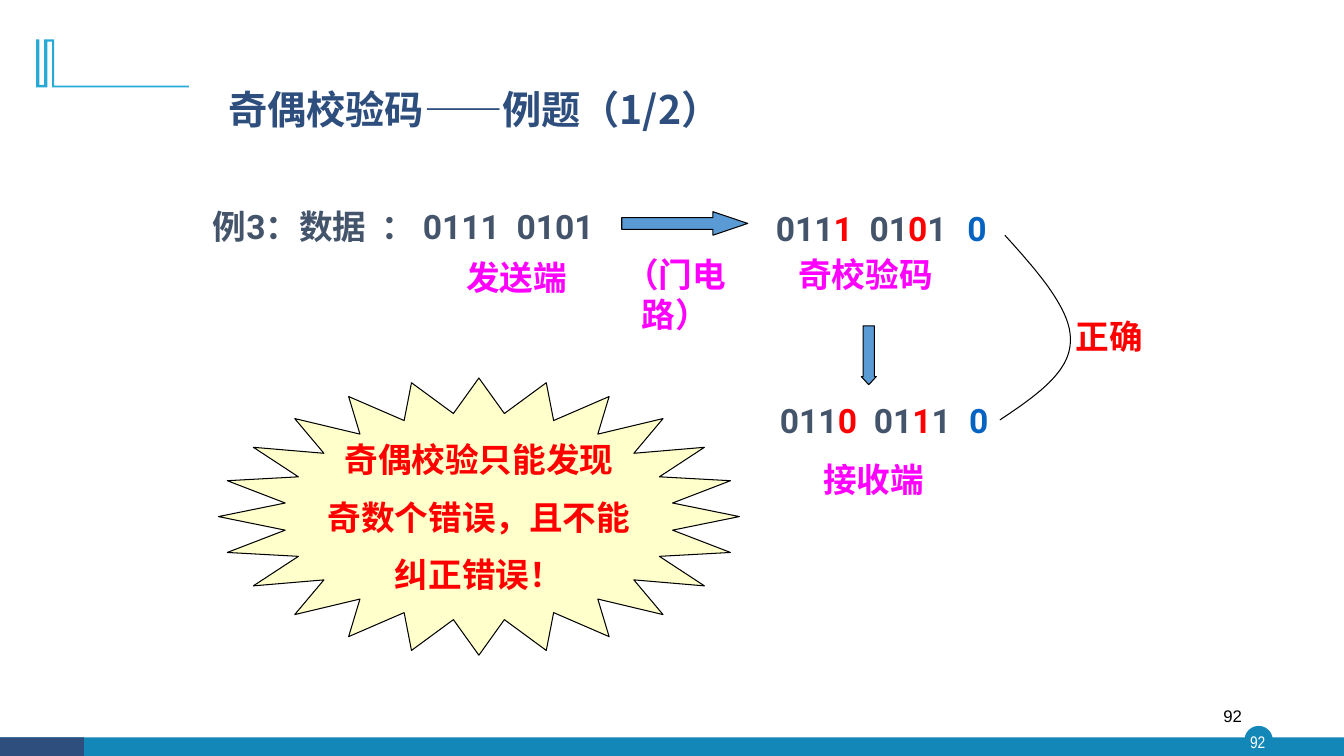
from lxml import etree
from pptx import Presentation
from pptx.dml.color import RGBColor
from pptx.enum.shapes import MSO_SHAPE
from pptx.enum.text import MSO_ANCHOR, PP_ALIGN
from pptx.oxml.ns import qn
from pptx.util import Inches, Pt

OVAL, RECT, STAR = MSO_SHAPE.OVAL, MSO_SHAPE.RECTANGLE, MSO_SHAPE.STAR_24_POINT
RIGHT, DOWN = MSO_SHAPE.RIGHT_ARROW, MSO_SHAPE.DOWN_ARROW
MID, TOP = MSO_ANCHOR.MIDDLE, MSO_ANCHOR.TOP
CENTER, LEFT, END = PP_ALIGN.CENTER, PP_ALIGN.LEFT, PP_ALIGN.RIGHT

TEAL = RGBColor(0x13, 0x87, 0xB7)
NAVY = RGBColor(0x2E, 0x4E, 0x7E)
SKY = RGBColor(0x28, 0xA9, 0xD6)
SLATE = RGBColor(0x44, 0x54, 0x6A)
PINK = RGBColor(0xFF, 0x00, 0xFF)
RED = RGBColor(0xFF, 0x00, 0x00)
BLUE = RGBColor(0x05, 0x63, 0xC1)
STEEL = RGBColor(0x5B, 0x9B, 0xD5)
CREAM = RGBColor(0xFF, 0xFF, 0xCC)
BLACK = RGBColor(0, 0, 0)
WHITE = RGBColor(0xFF, 0xFF, 0xFF)

HAN, LATIN = "Noto Sans CJK SC", "Roboto"
COLS, ROWS = 160, 90

deck = Presentation()
deck.slide_width, deck.slide_height = Inches(13.33), Inches(7.5)
UNIT = deck.slide_height / ROWS
slide = deck.slides.add_slide(deck.slide_layouts[6])
shapes = slide.shapes


def place(box, x, y, w, h):
    return [round((v) * UNIT) for v in (box[0] + x, box[1] + y, w, h)]


def paint(shape, fill, line=None, width=0.75):
    shape.shadow.inherit = False
    if fill is None:
        shape.fill.background()
    else:
        shape.fill.solid()
        shape.fill.fore_color.rgb = fill
    if line is None:
        shape.line.fill.background()
    else:
        shape.line.color.rgb = line
        shape.line.width = Pt(width)
    return shape


def solid(box, kind, spot, fill, line=None, width=0.75, adj=()):
    shape = shapes.add_shape(kind, *place(box, *spot))
    for i, value in enumerate(adj):
        shape.adjustments[i] = value
    return paint(shape, fill, line, width)


def write(shape, lines, font=HAN, size=24, bold=True, align=CENTER,
          anchor=TOP, wrap=True, inset=None, gap=12, pitch=None):
    frame = shape.text_frame
    look = {"word_wrap": wrap, "vertical_anchor": anchor}
    if inset is not None:
        look.update(dict.fromkeys(("margin_left", "margin_top",
                                   "margin_right", "margin_bottom"), inset))
    for key, value in look.items():
        setattr(frame, key, value)
    for i, runs in enumerate(lines):
        para = frame.add_paragraph() if i else frame.paragraphs[0]
        para.alignment = align
        if i:
            para.space_before = Pt(gap)
        if pitch:
            para.line_spacing = pitch
        for text, color in runs:
            run = para.add_run()
            run.text = text
            for key, value in {"name": font, "size": Pt(size), "bold": bold}.items():
                setattr(run.font, key, value)
            run.font.color.rgb = color
            east = etree.SubElement(run.font._element, qn("a:ea"))
            east.set("typeface", HAN)


def label(box, spot, *runs, **look):
    write(shapes.add_textbox(*place(box, *spot)), [runs], **look)


def trace(box, points, fill, line=None, close=True):
    scale = UNIT / 100
    dots = [((box[0] + x) * 100, (box[1] + y) * 100) for x, y in points]
    pen = shapes.build_freeform(*dots[0], scale=scale)
    pen.add_line_segments(dots[1:], close=close)
    paint(pen.convert_to_shape(), fill, line)


def corner(box):
    trace(box, [(2.16, 0), (2.16, 5.5), (18.2, 5.5), (18.2, 5.7), (1.9, 5.7),
                (1.9, 0.25), (1.35, 0.25), (1.35, 5.7), (0, 5.7), (0, 0),
                (0.4, 0), (0.4, 5.4), (0.95, 5.4), (0.95, 0)], SKY)


def footer(box):
    solid(box, OVAL, (148.2, 3.1, 3.2, 3.2), TEAL, TEAL, 1)
    solid(box, RECT, (0, 4.4, COLS, 2.2), TEAL)
    solid(box, RECT, (0, 4.4, 10, 2.2), NAVY)
    label(box, (147.8, 3.1, 3.8, 3.7), ("92", WHITE), font="Arial Narrow",
          size=12, bold=False, anchor=MID, inset=0)
    label(box, (113, 0, 36, 4.8), ("92", BLACK), font="Arial",
          size=12, bold=False, align=END)


def title(box):
    label(box, (0, 0, 108, 19.4), ("奇偶校验码——例题（1/2）", NAVY),
          size=28, align=LEFT, anchor=MID, pitch=0.9)


def sender(box):
    label(box, (0, 0, 54, 6), ("例3：数据  ： 0111  0101", SLATE), font=LATIN)
    label(box, (26, 6.1, 29, 6), ("发送端", PINK))
    solid(box, RIGHT, (53, 1.3, 15, 2.8), STEEL, BLACK, adj=(0.5, 1.48))
    label(box, (49.4, 5.7, 20, 6), ("（门电路）", PINK))


def code(box, parts, width, check, name, spot):
    runs = [(text, RED if i % 2 else SLATE) for i, text in enumerate(parts)]
    label(box, (0, 0, width, 6), *runs, font=LATIN)
    label(box, (check, 0, 7, 6), ("0", BLUE), font=LATIN)
    label(box, spot, (name, PINK))


def verdict(box):
    solid(box, DOWN, (0, 0, 1.8, 7), STEEL, BLACK, adj=(0.75, 0.54))
    curves = [((17.1, -10.8), (21.1, -6.4), (25.1, -1.8), (24.9, 1.8)),
              ((24.9, 1.8), (24.9, 5.5), (20.7, 8.4), (16.5, 11.2))]
    steps = 24
    points = []
    for knots in curves:
        for i in range(steps + 1):
            t = i / steps
            mix = ((1 - t) ** 3, 3 * t * (1 - t) ** 2, 3 * t * t * (1 - t), t ** 3)
            points.append([sum(m * k[axis] for m, k in zip(mix, knots))
                           for axis in (0, 1)])
    trace(box, points, None, BLACK, close=False)
    label(box, (23, -1.8, 13, 6), ("正确", RED), font=LATIN)


def burst(box):
    star = solid(box, STAR, (0, 0, 62, 33), CREAM, BLACK, adj=(0.375,))
    lines = ("奇偶校验只能发现", "奇数个错误，且不能", "纠正错误！")
    write(star, [[(text, RED)] for text in lines], anchor=MID, wrap=False)


def main():
    footer((0, 83.4))
    corner((4.3, 4.7))
    title((26, 3.6))
    sender((21, 23.9))
    code((88.5, 24.2), ("011", "1", "  01", "0", "1"), 28, 24.3,
         "奇校验码", (4.5, 5.4, 20, 6))
    code((90, 47), ("011", "0", "  01", "1", "1"), 26, 23,
         "接收端", (-0.5, 7, 29, 6))
    verdict((102.5, 38.8))
    burst((26, 45))
    deck.save("out.pptx")


if __name__ == "__main__":
    main()
